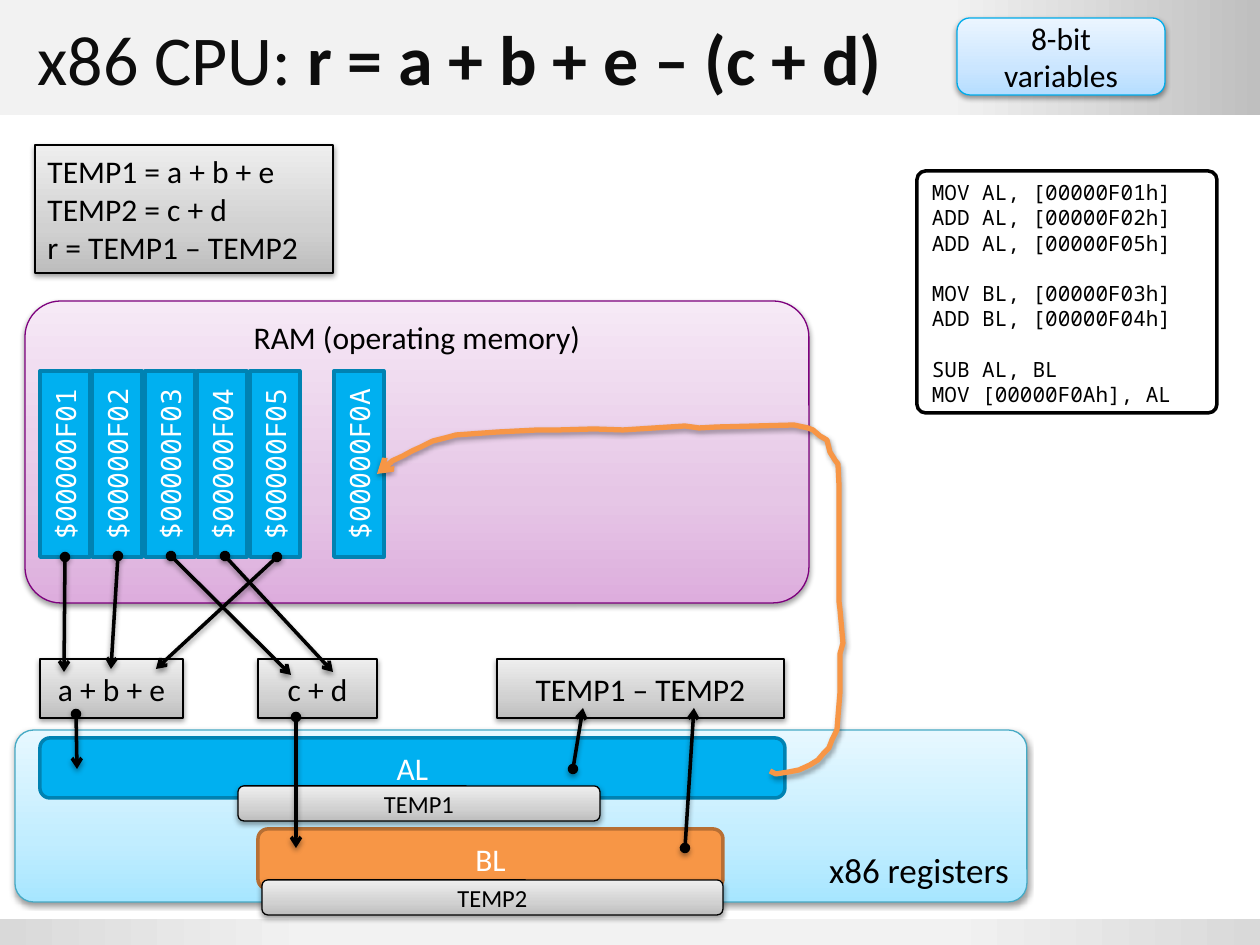
from pptx import Presentation, util as u
from pptx.dml.color import RGBColor
from pptx.enum import shapes as sh, text as tx
from pptx.oxml import parse_xml
from pptx.oxml.ns import nsdecls, qn

PX = 914400 // 126
BLACK, WHITE = RGBColor(0, 0, 0), RGBColor(255, 255, 255)
INK = RGBColor(0x0D, 0x0D, 0x0D)
BLUE, NAVY = RGBColor(0, 0xB0, 0xF0), RGBColor(0, 0x82, 0xB2)
ORANGE, RUST = RGBColor(0xF7, 0x96, 0x46), RGBColor(0xB7, 0x6F, 0x34)
TEAL, SKY = RGBColor(0x46, 0xAA, 0xC5), RGBColor(0, 0xAC, 0xEB)
PURPLE = RGBColor(0x7D, 0, 0x7D)
GREYS = [(0, "BDBDBD"), (35, "D1D1D1"), (100, "EEEEEE")]
AQUAS = [(0, "A7E6FF"), (35, "C1EDFF"), (100, "E7F8FF")]
PINKS = [(0, "DDADDD"), (35, "E6C6E6"), (100, "F6E9F6")]
PALES = [(0, "B5DDFF"), (35, "CBE6FF"), (100, "EBF5FF")]
HEADS = [(75, "F2F2F2"), (100, "BFBFBF")]
FEET = [(0, "D9D9D9"), (25, "F2F2F2"), (75, "F2F2F2"), (100, "D9D9D9")]
RECT, ROUND = sh.MSO_SHAPE.RECTANGLE, sh.MSO_SHAPE.ROUNDED_RECTANGLE
TOP, MID, LOW = tx.MSO_ANCHOR.TOP, tx.MSO_ANCHOR.MIDDLE, tx.MSO_ANCHOR.BOTTOM
LEFT, MIDDLE, RIGHT = tx.PP_ALIGN.LEFT, tx.PP_ALIGN.CENTER, tx.PP_ALIGN.RIGHT
SANS, MONO = "Calibri", "Noto Sans Mono"
SHADE = (f'<a:effectLst {nsdecls("a")}><a:outerShdw blurRad="40000" dist="20000" '
         'dir="5400000" rotWithShape="0"><a:srgbClr val="000000"><a:alpha val="38000"/>'
         '</a:srgbClr></a:outerShdw></a:effectLst>')

pres = Presentation()
pres.slide_width, pres.slide_height = u.Inches(10), u.Inches(7.5)
slide = pres.slides.add_slide(pres.slide_layouts[6])
items = slide.shapes


def box(at, fill, line=None, words="", size=18, kind=RECT, adj=None,
        color=BLACK, font=SANS, align=MIDDLE, anchor=MID, angle=90):
    """Filled shape; a list of stops makes a gradient with a soft shadow."""
    item = items.add_shape(kind, *[v * PX for v in at])
    item.shadow.inherit = False
    if adj:
        item.adjustments[0] = adj
    if isinstance(fill, list):
        item.fill.gradient()
        item.fill.gradient_angle = angle
        stops = item._element.spPr.find(qn("a:gradFill")).find(qn("a:gsLst"))
        for old in list(stops):
            stops.remove(old)
        for pos, tint in fill:
            stops.append(parse_xml(f'<a:gs {nsdecls("a")} pos="{pos * 1000}">'
                                   f'<a:srgbClr val="{tint}"/></a:gs>'))
    else:
        item.fill.solid()
        item.fill.fore_color.rgb = fill
    if line is None:
        item.line.fill.background()
    else:
        item.line.color.rgb = line
        item.line.width = u.Pt(0.75 if isinstance(fill, list) else 2)
        if isinstance(fill, list):
            flat = item._element.spPr.find(qn("a:effectLst"))
            flat.getparent().replace(flat, parse_xml(SHADE))
    if not words:
        return item
    frame = item.text_frame
    frame.word_wrap, frame.vertical_anchor = True, anchor
    gap = False
    for row in words.split("\n"):
        if not row:
            gap = True
            continue
        par = frame.paragraphs[0] if not frame.text else frame.add_paragraph()
        par.text, par.alignment = row, align
        par.font.size, par.font.name, par.font.color.rgb = u.Pt(size), font, color
        if gap:
            par.space_before = u.Pt(14.4)
        gap = False
    return item


def ends(item, color, width, head=None):
    """Line style, arrowheads and soft shadow."""
    item.line.color.rgb, item.line.width = color, u.Pt(width)
    props = item._element.spPr
    rule = props.find(qn("a:ln"))
    if head:
        rule.append(parse_xml(f'<a:headEnd {nsdecls("a")} type="{head}"/>'))
    rule.append(parse_xml(f'<a:tailEnd {nsdecls("a")} type="arrow"/>'))
    for old in props.findall(qn("a:effectLst")):
        props.remove(old)
    props.append(parse_xml(SHADE))


# Header and footer bands
box((0, 0, 1260, 115), HEADS, angle=0)
box((0, 919, 1260, 26), FEET, angle=0)

# Title
title = items.add_textbox(*[v * PX for v in (25, 0, 1211, 115)]).text_frame
title.word_wrap, title.vertical_anchor = True, MID
par = title.paragraphs[0]
par.font.size, par.font.name, par.font.color.rgb = u.Pt(40), SANS, INK
par.add_run().text = "x86 CPU:"
run = par.add_run()
run.text, run.font.bold = " r = a + b + e – (c + d)", True

# Registers and the steps of the sum
box((15, 730, 1012, 172), AQUAS, TEAL, "x86 registers", 20, ROUND, 0.108,
    align=RIGHT, anchor=LOW)
box((35, 145, 298, 128), GREYS, BLACK,
    "TEMP1 = a + b + e\nTEMP2 = c + d\nr = TEMP1 – TEMP2", align=LEFT)
for left, wide, words in ((40, 143, "a + b + e"), (258, 119, "c + d"),
                          (497, 287, "TEMP1 – TEMP2")):
    box((left, 659, wide, 59), GREYS, BLACK, words)
box((40, 738, 745, 60), BLUE, NAVY, "AL", kind=ROUND, color=WHITE)
box((258, 829, 465, 60), ORANGE, RUST, "BL", kind=ROUND, color=WHITE)

# Memory with its cells
box((25, 301, 784, 302), PINKS, PURPLE, "RAM (operating memory)", 18, ROUND,
    0.119, anchor=TOP)
cells = [(65 + 52.5 * i, f"$00000F0{i + 1}") for i in range(5)]
for mid, words in cells + [(359, "$00000F0A")]:
    cell = box((int(mid) - 93, 439, 186, 50), BLUE, NAVY, words, 16,
               color=WHITE, font=MONO)
    cell.rotation = 270

# Program
box((917, 171, 300, 242), WHITE, BLACK,
    "MOV AL, [00000F01h]\nADD AL, [00000F02h]\nADD AL, [00000F05h]\n\n"
    "MOV BL, [00000F03h]\nADD BL, [00000F04h]\n\n"
    "SUB AL, BL\nMOV [00000F0Ah], AL",
    12, ROUND, 0.036, font=MONO, align=LEFT, anchor=TOP)

# Result path from AL back to memory
trail = [(770, 771), (776, 774), (789, 772), (799, 770), (810, 765), (818, 760),
         (824, 753), (829, 748), (832, 740), (837, 730), (838, 717), (840, 693),
         (840, 654), (843, 643), (840, 609), (839, 601), (839, 484), (838, 464),
         (835, 460), (830, 452), (827, 440), (820, 436), (813, 430), (808, 428),
         (794, 425), (717, 427), (699, 428), (685, 426), (639, 429), (623, 430),
         (594, 429), (559, 430), (538, 430), (498, 432), (456, 435), (445, 438),
         (433, 441), (427, 444), (421, 447), (412, 451), (403, 456), (392, 461),
         (388, 466), (381, 471), (377, 474)]
pen = items.build_freeform(*trail[0], scale=PX)
pen.add_line_segments(trail[1:], close=False)
path = pen.convert_to_shape()
path.fill.background()
ends(path, ORANGE, 3)

# Labels on top
box((957, 18, 208, 77), PALES, SKY, "8-bit variables", kind=ROUND)
box((238, 786, 362, 35), GREYS, BLACK, "TEMP1", 14, ROUND)
box((262, 880, 461, 35), GREYS, BLACK, "TEMP2", 14, ROUND)

# Data flow arrows
for flow in ((76, 714, 77, 769), (573, 769, 583, 708), (65, 557, 64, 672),
             (118, 556, 111, 669), (171, 556, 291, 675), (225, 556, 333, 672),
             (277, 557, 156, 669), (685, 848, 694, 708), (296, 717, 296, 848)):
    link = items.add_connector(sh.MSO_CONNECTOR.STRAIGHT, *[v * PX for v in flow])
    ends(link, BLACK, 2, "oval")

pres.save("out.pptx")
